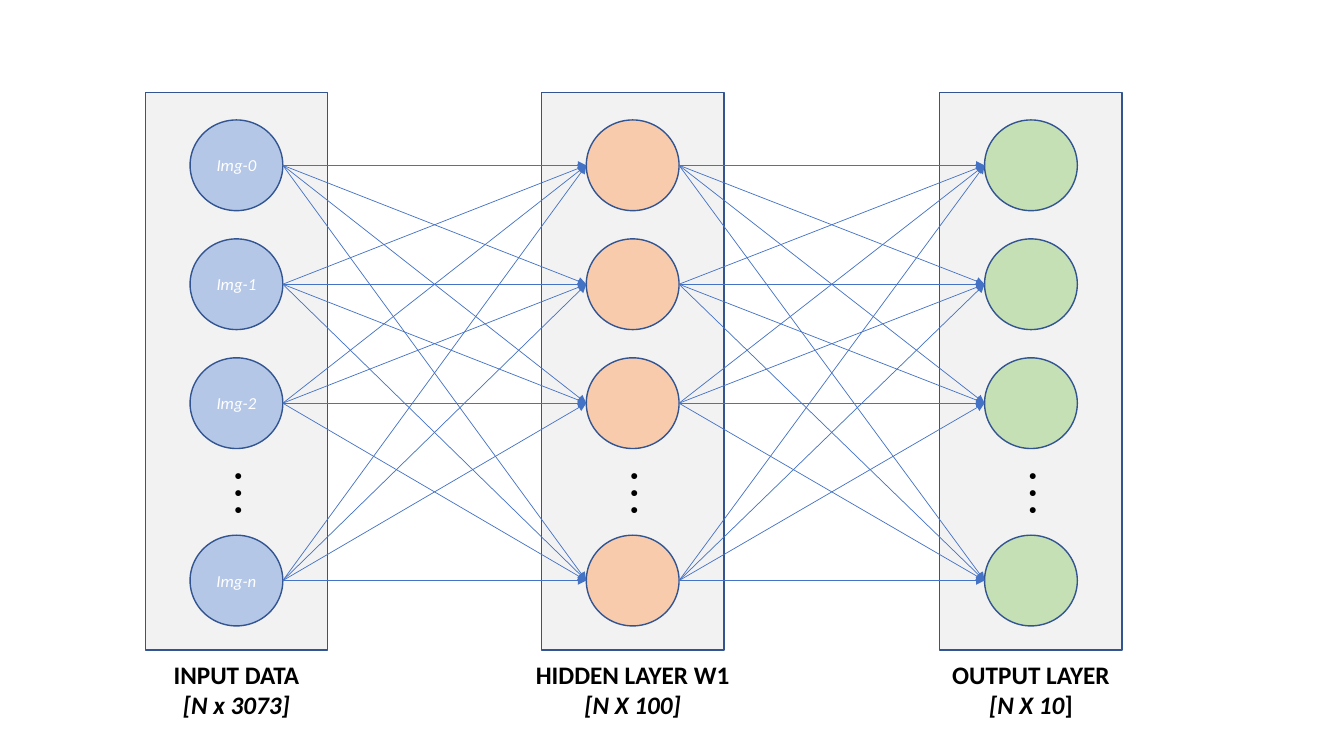
from dataclasses import dataclass
from itertools import pairwise, product

from lxml import etree
from pptx import Presentation
from pptx.dml.color import RGBColor
from pptx.enum import shapes, text
from pptx.oxml.ns import qn
from pptx.util import Inches, Pt

FONT = "Calibri"
OUTLINE, ARROW, PANEL_FILL = "325491", "4472C4", "F2F2F2"
PANEL_TOP, PANEL_WIDTH, PANEL_HEIGHT = 0.92, 1.81, 5.53
NODE_WIDTH, NODE_HEIGHT, NODE_INSET = 0.92, 0.9, 0.445
NODE_TOPS = (1.19, 2.37, 3.55, 5.31)
DOTS_INSET, LABEL_WIDTH = 0.79, 2.19


@dataclass(frozen=True)
class Layer:
    left: float
    color: str
    title: str
    size: str
    upright_end: str = ""
    names: tuple[str, ...] = ("",) * len(NODE_TOPS)

    @property
    def node_left(self) -> float:
        return self.left + NODE_INSET


LAYERS = (
    Layer(1.44, "B4C7E7", "INPUT DATA", "[N x 3073]",
          names=("Img-0", "Img-1", "Img-2", "Img-n")),
    Layer(5.37, "F8CBAD", "HIDDEN LAYER W1", "[N X 100]"),
    Layer(9.32, "C5E0B4", "OUTPUT LAYER", "[N X 10", upright_end="]"),
)


def rgb(color: str) -> RGBColor:
    return RGBColor.from_string(color)


def set_font(para, size: float, color: str, bold: bool = False) -> None:
    para.font.name = FONT
    para.font.size = Pt(size)
    para.font.bold = bold
    para.font.color.rgb = rgb(color)


def add_outlined(kind, left: float, top: float, width: float, height: float, fill: str):
    shape = page.shapes.add_shape(
        kind, Inches(left), Inches(top), Inches(width), Inches(height))
    shape.shadow.inherit = False
    shape.fill.solid()
    shape.fill.fore_color.rgb = rgb(fill)
    shape.line.color.rgb = rgb(OUTLINE)
    shape.line.width = Pt(1)
    return shape


def add_node(layer: Layer, top: float, name: str) -> None:
    node = add_outlined(shapes.MSO_SHAPE.FLOWCHART_CONNECTOR, layer.node_left, top,
                        NODE_WIDTH, NODE_HEIGHT, layer.color)
    if name:
        node.text_frame.vertical_anchor = text.MSO_ANCHOR.MIDDLE
        para = node.text_frame.paragraphs[0]
        para.text = name
        para.alignment = text.PP_ALIGN.CENTER
        set_font(para, 12, "FFFFFF")
        para.font.italic = True


def add_text(left: float, top: float, width: float, height: float,
             lines: tuple[str, ...], size: float, align):
    box = page.shapes.add_textbox(
        Inches(left), Inches(top), Inches(width), Inches(height))
    box.text_frame.word_wrap = True
    box.text_frame.text = "\n".join(lines)
    for para in box.text_frame.paragraphs:
        para.alignment = align
        set_font(para, size, "000000", bold=True)
    return box


def add_layer(layer: Layer) -> None:
    add_outlined(shapes.MSO_SHAPE.RECTANGLE, layer.left, PANEL_TOP,
                 PANEL_WIDTH, PANEL_HEIGHT, PANEL_FILL)
    for top, name in zip(NODE_TOPS, layer.names):
        add_node(layer, top, name)
    add_text(layer.left + DOTS_INSET, 4.58, 0.65, 0.61, ("•",) * 3, 10,
             text.PP_ALIGN.LEFT)
    label = add_text(layer.left + (PANEL_WIDTH - LABEL_WIDTH) / 2, 6.49,
                     LABEL_WIDTH, 0.71, (layer.title, layer.size), 18,
                     text.PP_ALIGN.CENTER)
    size_para = label.text_frame.paragraphs[1]
    size_para.runs[0].font.italic = True
    if layer.upright_end:
        span = size_para.add_run()
        span.text = layer.upright_end


def add_arrow(start: Layer, end: Layer, start_top: float, end_top: float) -> None:
    arrow = page.shapes.add_connector(
        shapes.MSO_CONNECTOR.STRAIGHT,
        Inches(start.node_left + NODE_WIDTH), Inches(start_top + NODE_HEIGHT / 2),
        Inches(end.node_left), Inches(end_top + NODE_HEIGHT / 2))
    arrow.line.color.rgb = rgb(ARROW)
    arrow.line.width = Pt(0.5)
    etree.SubElement(arrow.line._get_or_add_ln(), qn("a:tailEnd"), type="triangle")
    etree.SubElement(arrow._element.spPr, qn("a:effectLst"))


deck = Presentation()
deck.slide_width, deck.slide_height = Inches(13.33), Inches(7.5)
page = deck.slides.add_slide(deck.slide_layouts[6])

# Layers with their nodes and labels
for layer in LAYERS:
    add_layer(layer)

# Every node feeds every node of the next layer
for start, end in pairwise(LAYERS):
    for start_top, end_top in product(NODE_TOPS, repeat=2):
        add_arrow(start, end, start_top, end_top)

deck.save("out.pptx")
